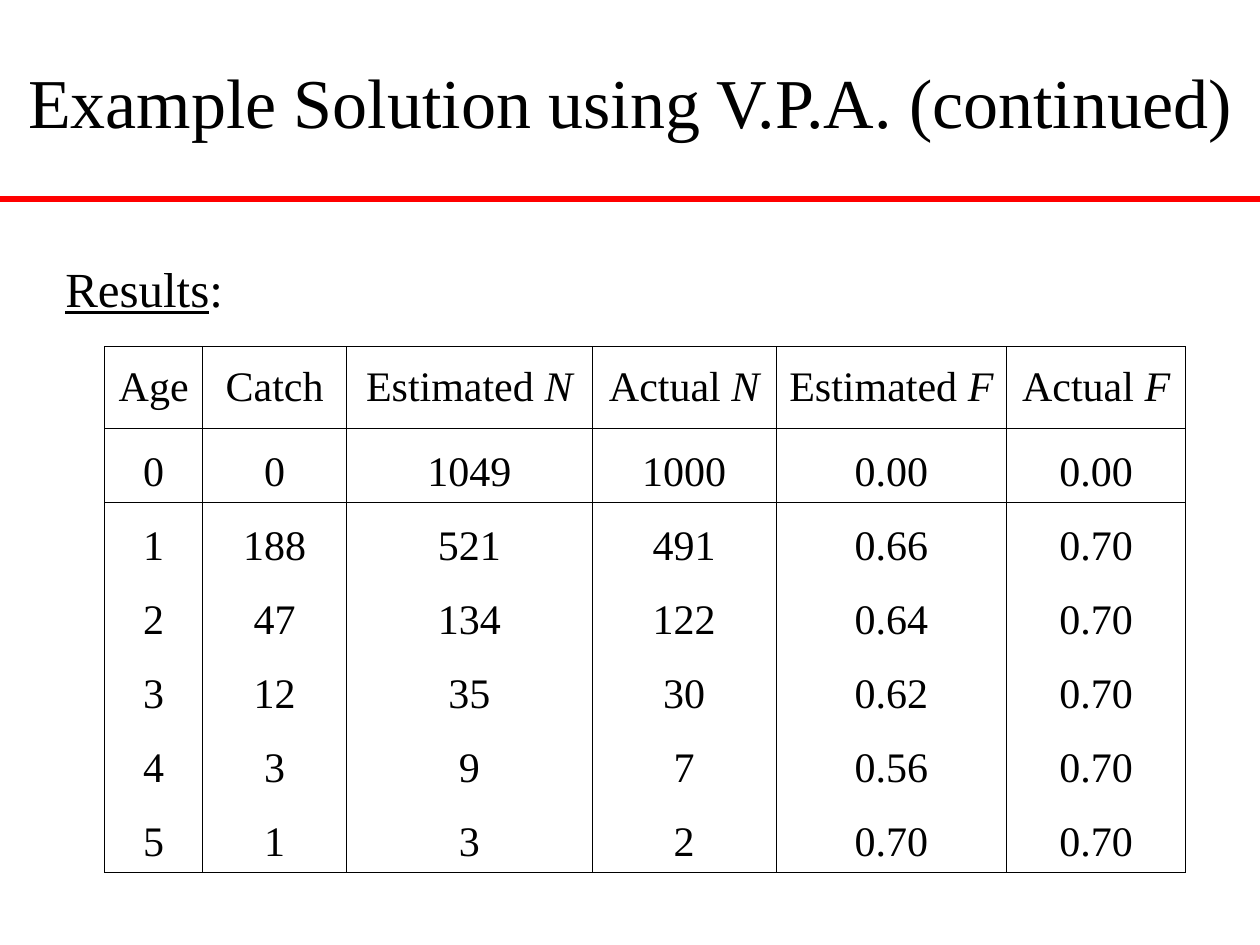
from dataclasses import dataclass

from lxml.etree import SubElement
from pptx import Presentation
from pptx.dml.color import RGBColor
from pptx.enum.shapes import MSO_CONNECTOR as Connector
from pptx.enum.text import MSO_ANCHOR as Anchor, PP_ALIGN as Align
from pptx.oxml.ns import qn
from pptx.util import Inches, Pt


@dataclass(frozen=True)
class Theme:
    font: str = "Times New Roman"
    ink: str = "000000"
    rule: str = "FF0000"
    title: float = 40
    heading: float = 28
    cell: float = 24
    rule_width: float = 3
    border_width: float = 0.45


@dataclass(frozen=True)
class Run:
    text: str
    italic: bool = False
    underline: bool = False


@dataclass(frozen=True)
class Column:
    header: tuple[Run, ...]
    width: float
    values: tuple[str, ...]


THEME = Theme()
TABLE_LEFT, TABLE_TOP = 0.83, 2.75
HEADER_HEIGHT, TABLE_HEIGHT = 0.65, 4.17
COLUMNS = (
    Column((Run("Age"),), 0.78, ("0", "1", "2", "3", "4", "5")),
    Column((Run("Catch"),), 1.14, ("0", "188", "47", "12", "3", "1")),
    Column((Run("Estimated "), Run("N", italic=True)), 1.95,
           ("1049", "521", "134", "35", "9", "3")),
    Column((Run("Actual "), Run("N", italic=True)), 1.46,
           ("1000", "491", "122", "30", "7", "2")),
    Column((Run("Estimated "), Run("F", italic=True)), 1.83,
           ("0.00", "0.66", "0.64", "0.62", "0.56", "0.70")),
    Column((Run("Actual "), Run("F", italic=True)), 1.42,
           ("0.00", "0.70", "0.70", "0.70", "0.70", "0.70")),
)


def write(frame, *runs: Run, size: float, align=Align.LEFT) -> None:
    frame.word_wrap = True
    paragraph = frame.paragraphs[0]
    paragraph.alignment = align
    for part in runs:
        run = paragraph.add_run()
        run.text = part.text
        font = run.font
        font.name = THEME.font
        font.size = Pt(size)
        font.color.rgb = RGBColor.from_string(THEME.ink)
        font.italic = part.italic
        font.underline = part.underline


def add_text(slide, left: float, top: float, width: float, height: float,
             *runs: Run, size: float, align=Align.LEFT, anchor=Anchor.TOP) -> None:
    frame = slide.shapes.add_textbox(
        Inches(left), Inches(top), Inches(width), Inches(height)).text_frame
    frame.vertical_anchor = anchor
    write(frame, *runs, size=size, align=align)


def add_rule(slide, top: float, width: float) -> None:
    rule = slide.shapes.add_connector(
        Connector.STRAIGHT, 0, Inches(top), Inches(width), Inches(top))
    rule.line.color.rgb = RGBColor.from_string(THEME.rule)
    rule.line.width = Pt(THEME.rule_width)
    SubElement(rule._element.spPr, qn("a:effectLst"))


def add_borders(cell, sides: str) -> None:
    properties = cell._tc.get_or_add_tcPr()
    for side in sides:
        border = SubElement(properties, qn(f"a:ln{side}"), w=str(Pt(THEME.border_width)))
        fill = SubElement(border, qn("a:solidFill"))
        SubElement(fill, qn("a:srgbClr"), val=THEME.ink)


def fill_cell(cell, *runs: Run, anchor, sides: str) -> None:
    write(cell.text_frame, *runs, size=THEME.cell, align=Align.CENTER)
    cell.vertical_anchor = anchor
    add_borders(cell, sides)
    cell.fill.background()


def add_results(slide) -> None:
    ages = len(COLUMNS[0].values)
    table = slide.shapes.add_table(
        ages + 1, len(COLUMNS), Inches(TABLE_LEFT), Inches(TABLE_TOP),
        Inches(sum(column.width for column in COLUMNS)), Inches(TABLE_HEIGHT)).table
    table.first_row = table.horz_banding = False
    table.rows[0].height = Inches(HEADER_HEIGHT)
    for age in range(ages):
        table.rows[age + 1].height = Inches((TABLE_HEIGHT - HEADER_HEIGHT) / ages)
    for index, column in enumerate(COLUMNS):
        table.columns[index].width = Inches(column.width)
        fill_cell(table.cell(0, index), *column.header, anchor=Anchor.MIDDLE, sides="LRTB")
        for row, value in enumerate(column.values, start=1):
            sides = "LR" + "T" * (row == 1) + "B" * (row == ages)
            fill_cell(table.cell(row, index), Run(value), anchor=Anchor.BOTTOM, sides=sides)
    style = table._tbl.tblPr.find(qn("a:tableStyleId"))
    style.text = "{2D5ABB26-0587-4C30-8999-92F81FD0307C}"


def main() -> None:
    deck = Presentation()
    deck.slide_width, deck.slide_height = Inches(10), Inches(7.5)
    slide = deck.slides.add_slide(deck.slide_layouts[6])
    add_text(slide, 0, 0.17, 10, 1.25, Run("Example Solution using V.P.A. (continued)"),
             size=THEME.title, align=Align.CENTER, anchor=Anchor.MIDDLE)
    add_rule(slide, 1.58, 10)
    add_text(slide, 0.42, 2, 1.75, 0.57, Run("Results", underline=True), Run(":"),
             size=THEME.heading)
    add_results(slide)
    deck.save("out.pptx")


if __name__ == "__main__":
    main()
